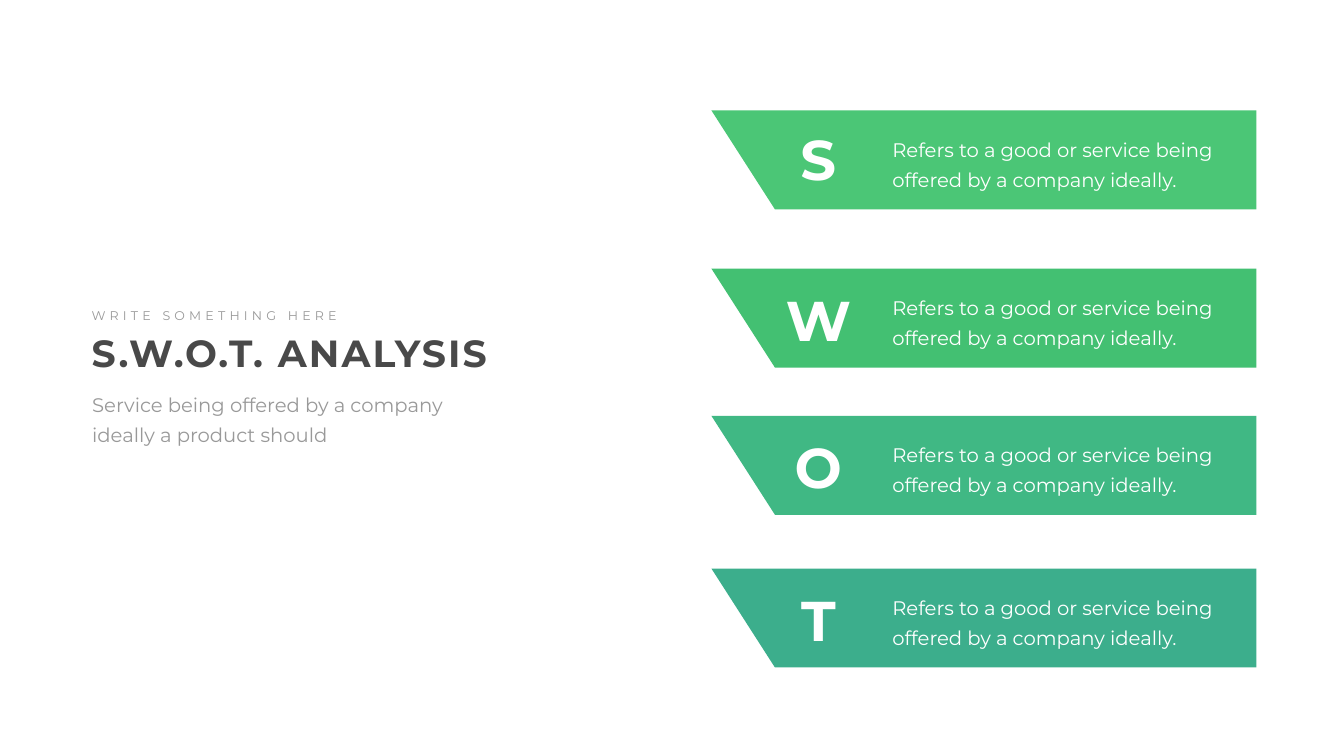
"""Build a S.W.O.T. slide with four slanted bands beside a heading."""
from pptx import Presentation as Deck
from pptx.dml.color import RGBColor as Rgb
from pptx.enum.text import MSO_ANCHOR as Anchor, MSO_AUTO_SIZE as Fit, PP_ALIGN as Align
from pptx.util import Inches, Pt

WIDE, HIGH = Inches(26.66), Inches(15)
HUES = {"S": "4BC676", "W": "43C072", "O": "40B884", "T": "3CAE8C",
        "dark": "494949", "grey": "999999", "white": "FFFFFF"}
BANDS = [("S", 14.6, 1.6, 3.41), ("W", 35.53, 1.93, 5.59),
         ("O", 55, 1.93, 5.18), ("T", 75.2, 1.93, 3.3)]
LEFT, RIGHT, SLANT, TALL = 52.93, 93.48, 4.73, 13.09
MID = 60.89
NOTE = "Refers to a good or service being offered by a company ideally."

BIG = {"size": Pt(80), "bold": True}
HEAD = {"size": Pt(54), "bold": True}
TAG = {"size": Pt(18), "bold": False}
BODY = {"size": Pt(28), "bold": False}
PLAIN = {"line_spacing": 1.0, "alignment": Align.LEFT}
CENTRE = {"line_spacing": 1.0, "alignment": Align.CENTER}
LOOSE = {"line_spacing": Pt(43), "alignment": Align.LEFT}
SLIM = (0.1, 0.05)
ROOMY = (0.24, 0.12)


def across(share):
    """Turn a percentage of the slide's width into a length."""
    return round(WIDE * share / 100)


def down(share):
    """Turn a percentage of the slide's height into a length."""
    return round(HIGH * share / 100)


def apply(item, style):
    """Set each format value of a style on an item."""
    for name, value in style.items():
        setattr(item, name, value)


def write(shape, area, text, font, hue, para=PLAIN, pad=SLIM, wrap=True, gap=0):
    """Place a text shape by shares of the slide and format its text."""
    x, y, w, h = area
    apply(shape, {"left": across(x), "top": down(y),
                  "width": across(w), "height": down(h)})
    side, edge = map(Inches, pad)
    frame = shape.text_frame
    frame.text = text
    apply(frame, {"margin_left": side, "margin_right": side,
                  "margin_top": edge, "margin_bottom": edge,
                  "word_wrap": wrap, "vertical_anchor": Anchor.TOP,
                  "auto_size": Fit.SHAPE_TO_FIT_TEXT})
    line = frame.paragraphs[0]
    apply(line, {**para, "space_before": Pt(0)})
    run = line.runs[0]
    apply(run.font, {**font, "name": "Montserrat"})
    run.font.color.rgb = Rgb.from_string(HUES[hue])
    if gap:
        run._r.get_or_add_rPr().set("spc", str(gap * 100))


def add_box(slide):
    """Add an empty text box."""
    return slide.shapes.add_textbox(0, 0, 0, 0)


def add_band(slide, top, hue):
    """Draw a band whose left edge slants inward."""
    base = top + TALL
    pen = slide.shapes.build_freeform(across(LEFT + SLANT), down(base))
    points = [(RIGHT, base), (RIGHT, top), (LEFT, top)]
    pen.add_line_segments([(across(x), down(y)) for x, y in points], close=True)
    band = pen.convert_to_shape()
    band.shadow.inherit = False
    band.fill.solid()
    band.fill.fore_color.rgb = Rgb.from_string(HUES[hue])
    band.line.fill.background()


def add_row(slide, mark, top, drop, width):
    """Add a band with its letter and note."""
    add_band(slide, top, mark)
    write(add_box(slide), (MID - width / 2, top + drop, width, 9.67),
          mark, BIG, "white", CENTRE, wrap=False)
    write(add_box(slide), (65.49, top + 1.93, 26.29, 9.27),
          NOTE, BODY, "white", LOOSE, ROOMY)


def add_head(slide):
    """Fill the title and subtitle and add the line above them."""
    write(slide.shapes.title, (6.45, 43.27, 35.18, 6.73),
          "S.W.O.T. ANALYSIS", HEAD, "dark", gap=3)
    write(add_box(slide), (6.45, 40.4, 19.43, 2.67),
          "WRITE SOMETHING HERE", TAG, "grey", wrap=False, gap=6)
    write(slide.placeholders[1], (5.96, 50.27, 29.89, 9.27),
          "Service being offered by a company ideally a product should",
          BODY, "grey", LOOSE, ROOMY)


def main():
    """Build and save the slide."""
    deck = Deck()
    apply(deck, {"slide_width": WIDE, "slide_height": HIGH})
    slide = deck.slides.add_slide(deck.slide_layouts[0])
    add_head(slide)
    for band in BANDS:
        add_row(slide, *band)
    deck.save("out.pptx")


if __name__ == "__main__":
    main()
